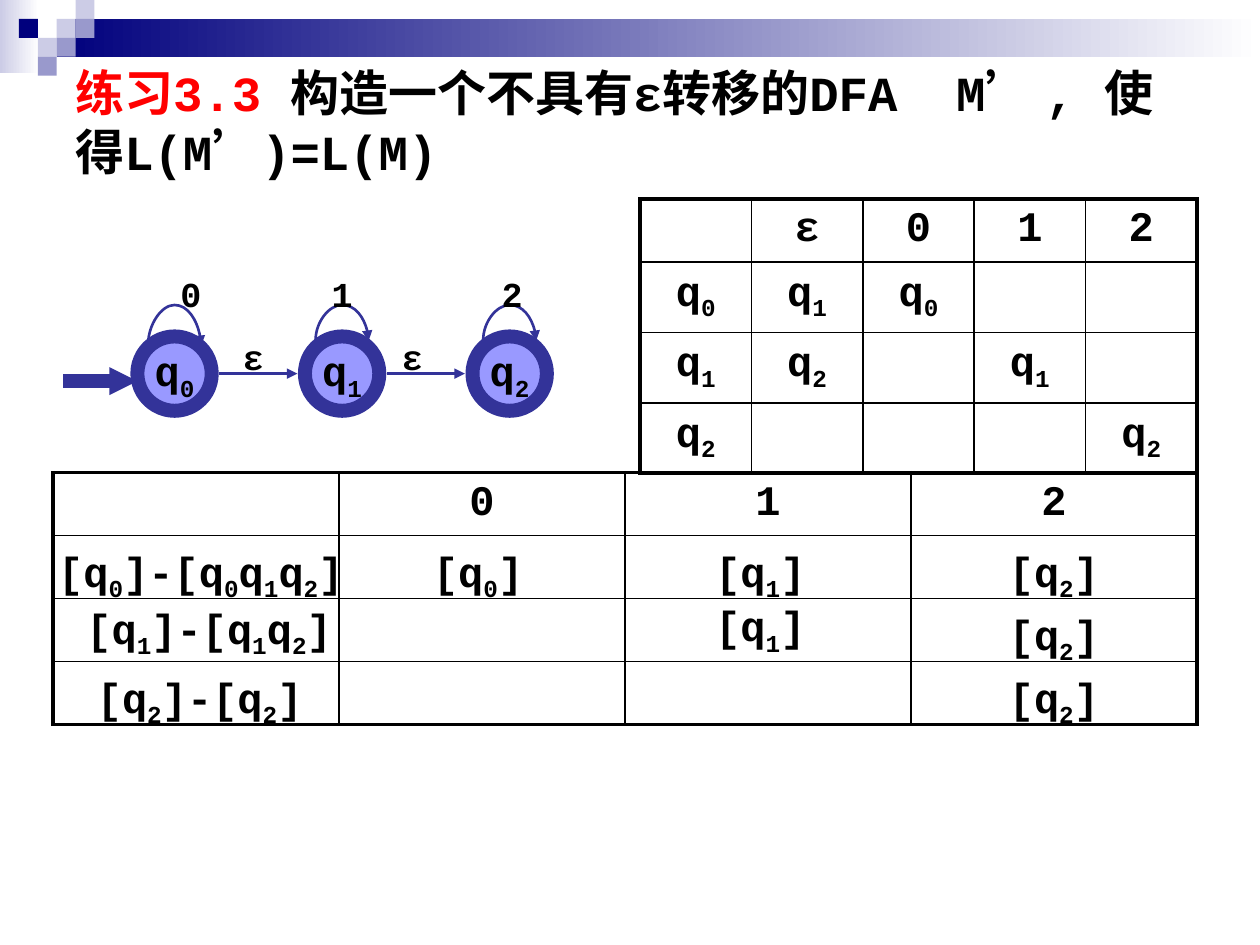
from itertools import product

from lxml.etree import SubElement
from pptx import Presentation
from pptx.dml.color import RGBColor
from pptx.enum.shapes import MSO_CONNECTOR as Link, MSO_SHAPE as Shape
from pptx.enum.text import MSO_ANCHOR as Anchor, PP_ALIGN as Align
from pptx.oxml.ns import qn
from pptx.util import Inches, Pt

BLACK = RGBColor(0, 0, 0)
WHITE = RGBColor(255, 255, 255)
RED = RGBColor(255, 0, 0)
NAVY = RGBColor(0, 0, 0x7D)
LAVENDER = RGBColor(0xCC, 0xCC, 0xE6)
MAUVE = RGBColor(0x99, 0x99, 0xCC)
STATE_FILL = RGBColor(0x99, 0x99, 0xFF)
INDIGO = RGBColor(0x33, 0x33, 0x99)
FONT = "Courier New"


def style(paragraph, size, align=Align.CENTER):
    paragraph.alignment = align
    font = paragraph.font
    font.name, font.size, font.bold = FONT, Pt(size), True
    font.color.rgb = BLACK


def write_states(paragraph, text, size=24):
    """Write text such as [q0q1], lowering the digit after each q."""
    style(paragraph, size)
    head, *states = text.split("q")
    pieces = [head]
    for state in states:
        pieces[-1] += "q"
        pieces += [state[0], state[1:]]
    for index, piece in enumerate(pieces):
        if piece:
            run = paragraph.add_run()
            run.text = piece
            if index % 2:
                run.font._element.set("baseline", "-25000")


def add_label(slide, text, left, top, width, height, size=24):
    box = slide.shapes.add_textbox(*map(Inches, (left, top, width, height)))
    box.text_frame.word_wrap = False
    write_states(box.text_frame.paragraphs[0], text, size)


def add_block(slide, left, top, width, height, color, fade=False):
    block = slide.shapes.add_shape(Shape.RECTANGLE, *map(Inches, (left, top, width, height)))
    block.shadow.inherit = False
    block.line.fill.background()
    if fade:
        block.fill.gradient()
        block.fill.gradient_angle = 0
        for stop, stop_color in zip(block.fill.gradient_stops, (color, WHITE)):
            stop.color.rgb = stop_color
    else:
        block.fill.solid()
        block.fill.fore_color.rgb = color


def add_banner(slide, left, top):
    add_block(slide, left, top, 0.31, 0.58, LAVENDER, fade=True)
    add_block(slide, left + 0.45, top + 0.15, 9.55, 0.3, NAVY, fade=True)
    squares = [(3, 1, LAVENDER), (4, 0, LAVENDER), (4, 1, MAUVE), (2, 2, LAVENDER),
               (1, 1, NAVY), (3, 2, MAUVE), (2, 3, MAUVE)]
    for column, row, color in squares:
        add_block(slide, left + 0.15 * column, top + 0.15 * row, 0.15, 0.15, color)


def add_title(slide, left, top, width, height):
    title = slide.shapes.add_textbox(*map(Inches, (left, top, width, height)))
    frame = title.text_frame
    frame.word_wrap = True
    frame.vertical_anchor = Anchor.MIDDLE
    paragraph = frame.paragraphs[0]
    style(paragraph, 28, Align.LEFT)
    exercise = paragraph.add_run()
    exercise.text = "练习3.3"
    exercise.font.color.rgb = RED
    paragraph.add_run().text = " 构造一个不具有ε转移的DFA  M’ , 使得L(M’)=L(M)"


def add_arrow(slide, kind, start, end, weight=1.5, head="med"):
    arrow = slide.shapes.add_connector(kind, *map(Inches, (*start, *end)))
    arrow.line.color.rgb = INDIGO
    arrow.line.width = Pt(weight)
    SubElement(arrow.line._get_or_add_ln(), qn("a:tailEnd"), type="triangle", w=head, len=head)
    SubElement(arrow._element.spPr, qn("a:effectLst"))
    return arrow


def add_loop(slide, center, foot, peak):
    """Curved arrow from left to right, bulging up from foot to peak."""
    depth, span = 0.01, 0.42
    loop = add_arrow(slide, Link.CURVE, (center - depth / 2, foot + span / 2),
                     (center + depth / 2, foot - span / 2))
    properties = loop._element.spPr
    properties.find(qn("a:xfrm")).set("rot", "5400000")
    guides = properties.find(qn("a:prstGeom")).get_or_add_avLst()
    bulge = round((peak - foot) / depth * 100000)
    SubElement(guides, qn("a:gd"), name="adj1", fmla=f"val {bulge}")


def add_automaton(slide, left, top):
    size, pitch, rim = 0.59, 1.33, 0.06
    first, state_top = left + 0.59, top + 0.56
    middle = state_top + size / 2
    # States
    for number in range(3):
        state = slide.shapes.add_shape(Shape.OVAL, *map(
            Inches, (first + pitch * number, state_top, size, size)))
        state.shadow.inherit = False
        state.fill.solid()
        state.fill.fore_color.rgb = STATE_FILL
        state.line.color.rgb = INDIGO
        state.line.width = Pt(8)
        state.text_frame.word_wrap = False
        state.text_frame.vertical_anchor = Anchor.MIDDLE
        write_states(state.text_frame.paragraphs[0], f"q{number}")
    # Start arrow and ε moves
    add_arrow(slide, Link.STRAIGHT, (left, middle + 0.06), (first, middle + 0.06), 8, "sm")
    for number, label_left in enumerate((1.33, 2.59)):
        state_left = first + pitch * number
        add_arrow(slide, Link.STRAIGHT, (state_left + size + rim, middle),
                  (state_left + pitch - rim, middle))
        add_label(slide, "ε", left + label_left, top + 0.5, 0.32, 0.43, 20)
    # Loops
    for number, (foot, label_left) in enumerate([(0.63, 0.83), (0.59, 2.03), (0.59, 3.38)]):
        add_loop(slide, first + pitch * number + size / 2, top + foot, top + 0.31)
        add_label(slide, str(number), left + label_left, top, 0.37, 0.43, 20)


def add_grid(slide, left, top, width, heights, rows):
    """Ruled table with a heavy frame and thin inner lines."""
    row_count, column_count = len(rows), len(rows[0])
    table = slide.shapes.add_table(row_count, column_count, *map(
        Inches, (left, top, width, sum(heights)))).table
    table.first_row = table.horz_banding = False
    for row, height in zip(table.rows, heights):
        row.height = Inches(height)
    for column in table.columns:
        column.width = Inches(width / column_count)
    for r, c in product(range(row_count), range(column_count)):
        cell = table.cell(r, c)
        cell.vertical_anchor = Anchor.MIDDLE
        outer = {"L": c == 0, "R": c == column_count - 1, "T": r == 0, "B": r == row_count - 1}
        for side, on_frame in outer.items():
            edge = SubElement(cell._tc.get_or_add_tcPr(), qn(f"a:ln{side}"),
                              w=str(Pt(2.25 if on_frame else 1)))
            SubElement(SubElement(edge, qn("a:solidFill")), qn("a:srgbClr"), val=str(BLACK))
        cell.fill.background()
        write_states(cell.text_frame.paragraphs[0], rows[r][c])


def add_dfa_table(slide, left, top, width):
    blank = [""] * 4
    add_grid(slide, left, top, width, [0.5] * 4, [["", "0", "1", "2"], blank, blank, blank])
    # Entries laid over the grid
    entries = [("[q0]-[q0q1q2]", -0.09, 0.53, 2.53), ("[q0]", 2.91, 0.53, 0.93),
               ("[q1]", 5.15, 0.53, 0.93), ("[q2]", 7.48, 0.53, 0.93),
               ("[q1]-[q1q2]", 0.14, 0.98, 2.2), ("[q1]", 5.15, 0.96, 0.93),
               ("[q2]", 7.48, 1.03, 0.93),
               ("[q2]-[q2]", 0.23, 1.53, 1.87), ("[q2]", 7.48, 1.53, 0.93)]
    for text, x, y, entry_width in entries:
        add_label(slide, text, left + x, top + y, entry_width, 0.5)


def main():
    deck = Presentation()
    deck.slide_width, deck.slide_height = Inches(10), Inches(7.5)
    slide = deck.slides.add_slide(deck.slide_layouts[6])
    add_banner(slide, 0, 0)
    add_title(slide, 0.5, 0.5, 9, 0.92)
    add_automaton(slide, 0.5, 2.11)
    add_grid(slide, 5.08, 1.58, 4.42, [0.5, 0.56, 0.56, 0.56],
             [["", "ε", "0", "1", "2"], ["q0", "q1", "q0", "", ""],
              ["q1", "q2", "", "q1", ""], ["q2", "", "", "", "q2"]])
    add_dfa_table(slide, 0.42, 3.75, 9.08)
    deck.save("out.pptx")


if __name__ == "__main__":
    main()
